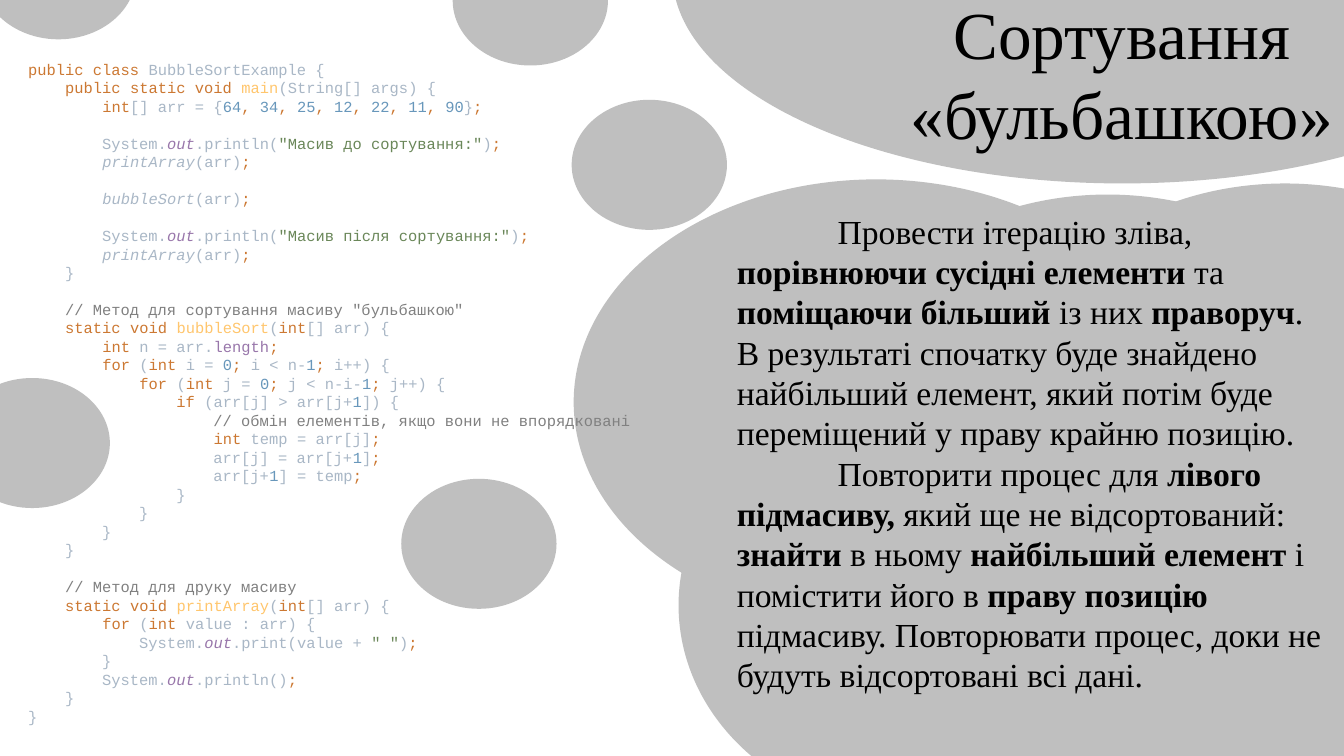
from copy import deepcopy
from itertools import groupby

from pptx import Presentation
from pptx import util as u
from pptx.dml.color import RGBColor
from pptx.enum import shapes, text

PX = 9144  # 100 px to the inch
THEME = {
    "bubble": "BFBFBF", "ink": "000000",
    "serif": "Times New Roman", "mono": "Courier New",
    "title": 48, "body": 24, "code": 11,
    "keyword": "CC7832", "plain": "A9B7C6", "method": "FFC66D", "number": "6897BB",
    "field": "9876AA", "string": "6A8759", "comment": "808080",
}
KEYWORDS = "public class static void int for if ; ,".split()
MAIN_CODE = '''public class BubbleSortExample {
    public static void main(String[] args) {
        int[] arr = {64, 34, 25, 12, 22, 11, 90};

        System.out.println("Масив до сортування:");
        printArray(arr);

        bubbleSort(arr);

        System.out.println("Масив після сортування:");
        printArray(arr);
    }
'''
SORT_CODE = '''    // Метод для сортування масиву "бульбашкою"
    static void bubbleSort(int[] arr) {
        int n = arr.length;
        for (int i = 0; i < n-1; i++) {
            for (int j = 0; j < n-i-1; j++) {
                if (arr[j] > arr[j+1]) {
                    // обмін елементів, якщо вони не впорядковані
                    int temp = arr[j];
                    arr[j] = arr[j+1];
                    arr[j+1] = temp;
                }
            }
        }
    }
'''
PRINT_CODE = '''    // Метод для друку масиву
    static void printArray(int[] arr) {
        for (int value : arr) {
            System.out.print(value + " ");
        }
        System.out.println();
    }
}'''
# Bold phrases stand between asterisks.
STEPS = [
    "Провести ітерацію зліва, *порівнюючи сусідні елементи *та *поміщаючи більший *із них "
    "*праворуч*. В результаті спочатку буде знайдено найбільший елемент, який потім буде "
    "переміщений у праву крайню позицію.",
    "Повторити процес для *лівого підмасиву,* який ще не відсортований: *знайти *в ньому "
    "*найбільший елемент *і помістити його в *праву позицію *підмасиву. Повторювати процес, "
    "доки не будуть відсортовані всі дані.",
]
BIG_BUBBLES = [(1008, 182, 533, 415), (673, 393, 471, 415), (569, 178, 600, 442),
               (832, 193, 533, 415), (995, 463, 471, 415), (667, -233, 892, 415)]
SMALL_BUBBLES = [(-45, 375), (-19, -90), (449, -64), (398, 475), (567, 99)]

deck = Presentation()
deck.slide_width, deck.slide_height = 1333 * PX, 750 * PX
page = deck.slides.add_slide(deck.slide_layouts[6])


def add_span(para, words, *, size, font, color="ink", bold=False, italic=False):
    span = para.add_run()
    span.text = words
    span.font.size, span.font.name = u.Pt(THEME[size]), THEME[font]
    span.font.bold, span.font.italic = bold, italic
    span.font.color.rgb = RGBColor.from_string(THEME[color])


def code_tokens(line):
    """Yield (style, italic, token) for one line of Java."""
    if line.strip().startswith("//"):
        yield "comment", False, line
        return
    style, italic, previous_word = "plain", False, ""
    for index, part in enumerate(line.split('"')):
        if index % 2:
            yield "string", False, f'"{part}"'
            continue
        for _, letters in groupby(part, lambda letter: letter.isalnum() or letter):
            token = "".join(letters)
            if not token.isspace():  # a gap keeps the style before it
                declared = previous_word == "void"
                style = ("keyword" if token in KEYWORDS else
                         "number" if token.isdigit() else
                         "field" if token in ("out", "length") else
                         "method" if declared else "plain")
                italic = token == "out" or (
                    token in ("printArray", "bubbleSort") and not declared)
                previous_word = token
            yield style, italic, token


bubbles = BIG_BUBBLES + [(left, top, 154, 129) for left, top in SMALL_BUBBLES]
for bounds in bubbles:
    bubble = page.shapes.add_shape(shapes.MSO_SHAPE.OVAL, *(side * PX for side in bounds))
    bubble.shadow.inherit = False
    bubble.fill.solid()
    bubble.fill.fore_color.rgb = RGBColor.from_string(THEME["bubble"])
    bubble.line.fill.background()

frames = []
for bounds in [(721, 204, 610, 495), (877, -13, 471, 172), (18, 51, 661, 677)]:
    box = page.shapes.add_textbox(*(side * PX for side in bounds))
    frame = box.text_frame
    frame.word_wrap = True
    frame.auto_size = text.MSO_AUTO_SIZE.SHAPE_TO_FIT_TEXT
    frames.append(frame)
steps_frame, title_frame, code_frame = frames

for number, step in enumerate(STEPS):
    para = steps_frame.add_paragraph() if number else steps_frame.paragraphs[0]
    para._p.get_or_add_pPr().set("indent", str(100 * PX))
    for index, words in enumerate(step.split("*")):
        add_span(para, words, size="body", font="serif", bold=index % 2 == 1)

para = title_frame.paragraphs[0]
para.alignment = text.PP_ALIGN.CENTER
add_span(para, "Сортування «бульбашкою»", size="title", font="serif")

code_frame.vertical_anchor = text.MSO_ANCHOR.MIDDLE
para = code_frame.paragraphs[0]
code_lines = "\n".join([MAIN_CODE, SORT_CODE, PRINT_CODE]).split("\n")
for number, line in enumerate(code_lines):
    if number:
        para.add_line_break()
        para._p[-1].append(deepcopy(para.runs[-1]._r.rPr))  # the break keeps the code size
    for (style, italic), tokens in groupby(code_tokens(line), lambda token: token[:2]):
        add_span(para, "".join(token[2] for token in tokens),
                 size="code", font="mono", color=style, italic=italic)

deck.save("out.pptx")
